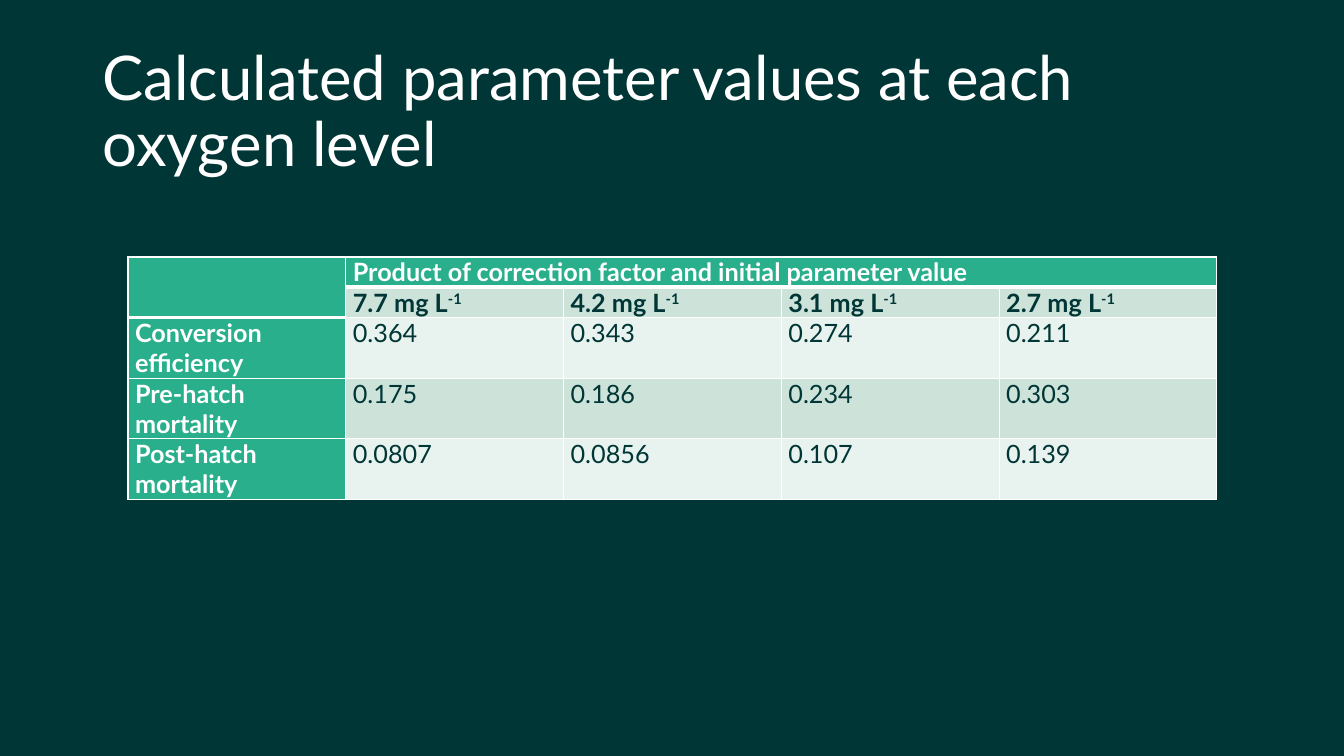
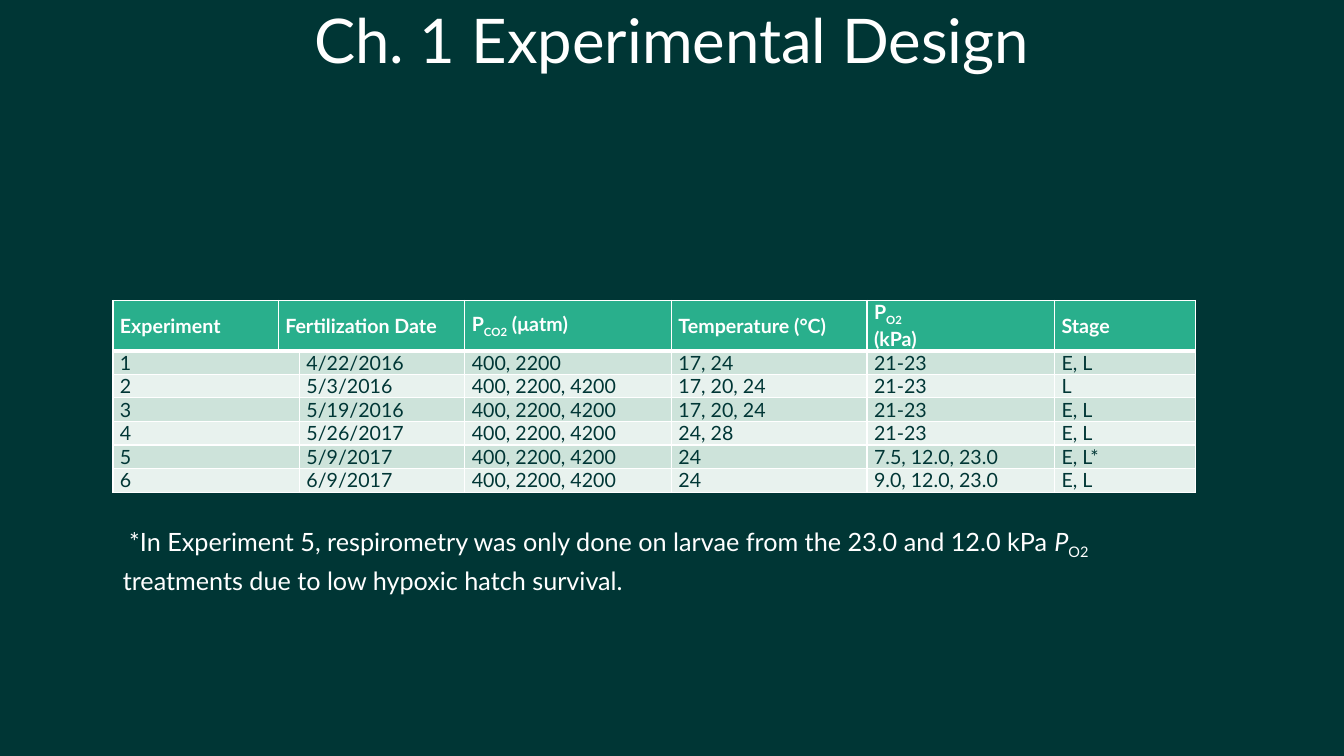
from lxml import etree
from pptx import Presentation
from pptx.dml.color import RGBColor
from pptx.enum.text import MSO_ANCHOR, PP_ALIGN
from pptx.oxml.ns import qn
from pptx.util import Inches, Pt

FONT = "Lato"
DARK, WHITE, GREEN = "003635", "FFFFFF", "29AF8C"
BANDS = ["E8F2EE", "CDE3DA"]
BASELINES = {"super": "30000", "sub": "-25000"}


def write(text_frame, paragraphs, size, color, bold=False, align=PP_ALIGN.LEFT, spacing=1.0):
    """Fill a text frame; each paragraph is a list of (text, style) runs."""
    for index, runs in enumerate(paragraphs):
        paragraph = text_frame.add_paragraph() if index else text_frame.paragraphs[0]
        paragraph.alignment = align
        paragraph.line_spacing = spacing
        for text, style in runs:
            run = paragraph.add_run()
            run.text = text
            run.font.name = FONT
            run.font.size = Pt(size)
            run.font.bold = bold
            run.font.italic = style == "italic"
            run.font.color.rgb = RGBColor.from_string(color)
            if style in BASELINES:
                run._r.get_or_add_rPr().set("baseline", BASELINES[style])


def set_borders(cell, top, bottom):
    """Draw white cell borders, one point wide at the sides."""
    properties = cell._tc.get_or_add_tcPr()
    for index, (side, width) in enumerate([("L", 1), ("R", 1), ("T", top), ("B", bottom)]):
        line = etree.Element(qn(f"a:ln{side}"), w=str(Pt(width)))
        fill = etree.SubElement(line, qn("a:solidFill"))
        etree.SubElement(fill, qn("a:srgbClr"), val=WHITE)
        properties.insert(index, line)


oxygen_levels = [[[(f"{level} mg L", ""), ("-1", "super")]] for level in ("7.7", "4.2", "3.1", "2.7")]
co2_heading = [[("P", ""), ("CO2", "sub"), (" (μatm)", "")]]
o2_heading = [[("P", ""), ("O2", "sub")], [("(kPa)", "")]]

# header_depths: number of green heading rows in each column
pages = [
    {
        "title": "Calculated parameter values at each oxygen level",
        "title_box": (0.92, 0.4, 11.5, 1.45),
        "title_align": PP_ALIGN.LEFT,
        "table_at": (1.27, 2.55),
        "columns": [2.16] * 5,
        "heights": [0.3, 0.3, 0.6, 0.6, 0.6],
        "size": 18,
        "anchor": MSO_ANCHOR.TOP,
        "header_depths": [2, 1, 1, 1, 1],
        "bold_rows": 2,
        "green_first_column": True,
        "merges": [(0, 0, 1, 0), (0, 1, 0, 4)],
        "rows": [
            [None, "Product of correction factor and initial parameter value", None, None, None],
            [None, *oxygen_levels],
            ["Conversion efficiency", "0.364", "0.343", "0.274", "0.211"],
            ["Pre-hatch mortality", "0.175", "0.186", "0.234", "0.303"],
            ["Post-hatch mortality", "0.0807", "0.0856", "0.107", "0.139"],
        ],
    },
    {
        "title": "Ch. 1 Experimental Design",
        "title_box": (0, 0, 13.33, 0.86),
        "title_align": PP_ALIGN.CENTER,
        "table_at": (1.12, 2.98),
        "columns": [1.64, 0.21, 1.64, 2.05, 1.94, 1.86, 1.4],
        "heights": [0.47] + [0.23] * 6,
        "size": 14,
        "anchor": MSO_ANCHOR.MIDDLE,
        "header_depths": [1] * 7,
        "bold_rows": 1,
        "green_first_column": False,
        "merges": [(0, 1, 0, 2)] + [(row, 0, row, 1) for row in range(1, 7)],
        "rows": [
            ["Experiment", "Fertilization Date", None, co2_heading, "Temperature (°C)", o2_heading, "Stage"],
            ["1", None, "4/22/2016", "400, 2200", "17, 24", "21-23", "E, L"],
            ["2", None, "5/3/2016", "400, 2200, 4200", "17, 20, 24", "21-23", "L"],
            ["3", None, "5/19/2016", "400, 2200, 4200", "17, 20, 24", "21-23", "E, L"],
            ["4", None, "5/26/2017", "400, 2200, 4200", "24, 28", "21-23", "E, L"],
            ["5", None, "5/9/2017", "400, 2200, 4200", "24", "7.5, 12.0, 23.0", "E, L*"],
            ["6", None, "6/9/2017", "400, 2200, 4200", "24", "9.0, 12.0, 23.0", "E, L"],
        ],
    },
]

presentation = Presentation()
presentation.slide_width = Inches(13.33)
presentation.slide_height = Inches(7.5)
background = presentation.slide_master.background.fill
background.solid()
background.fore_color.rgb = RGBColor.from_string(DARK)

for page in pages:
    slide = presentation.slides.add_slide(presentation.slide_layouts[6])

    title_frame = slide.shapes.add_textbox(*map(Inches, page["title_box"])).text_frame
    title_frame.word_wrap = True
    title_frame.vertical_anchor = MSO_ANCHOR.MIDDLE
    write(title_frame, [[(page["title"], "")]], 44, WHITE, align=page["title_align"], spacing=0.9)

    columns, heights = page["columns"], page["heights"]
    table = slide.shapes.add_table(
        len(heights), len(columns), *map(Inches, page["table_at"]),
        Inches(sum(columns)), Inches(sum(heights)),
    ).table
    for column, width in zip(table.columns, columns):
        column.width = Inches(width)
    for row, height in zip(table.rows, heights):
        row.height = Inches(height)
    for top, left, bottom, right in page["merges"]:
        table.cell(top, left).merge(table.cell(bottom, right))

    for row_index, values in enumerate(page["rows"]):
        for column_index, value in enumerate(values):
            cell = table.cell(row_index, column_index)
            depth = page["header_depths"][column_index]
            row_label = page["green_first_column"] and column_index == 0
            green = row_index < depth or row_label
            cell.fill.solid()
            cell.fill.fore_color.rgb = RGBColor.from_string(GREEN if green else BANDS[row_index % 2])
            cell.margin_left = cell.margin_right = Inches(0.07)
            cell.margin_top = cell.margin_bottom = 0
            cell.vertical_anchor = page["anchor"]
            last_row = row_index + (cell.span_height if cell.is_merge_origin else 1)
            set_borders(cell, 3 if row_index == depth else 1, 3 if last_row == depth else 1)
            if value:
                paragraphs = [[(value, "")]] if isinstance(value, str) else value
                bold = row_index < page["bold_rows"] or row_label
                write(cell.text_frame, paragraphs, page["size"], WHITE if green else DARK, bold)

footnote_frame = slide.shapes.add_textbox(Inches(1.12), Inches(5.12), Inches(10.44), Inches(0.78)).text_frame
footnote_frame.word_wrap = True
footnote = [
    (" *In Experiment 5, respirometry was only done on larvae from the 23.0 and 12.0 kPa ", ""),
    ("P", "italic"),
    ("O2", "sub"),
    (" treatments due to low hypoxic hatch survival.", ""),
]
write(footnote_frame, [footnote], 18, WHITE, spacing=1.15)

presentation.save("out.pptx")
